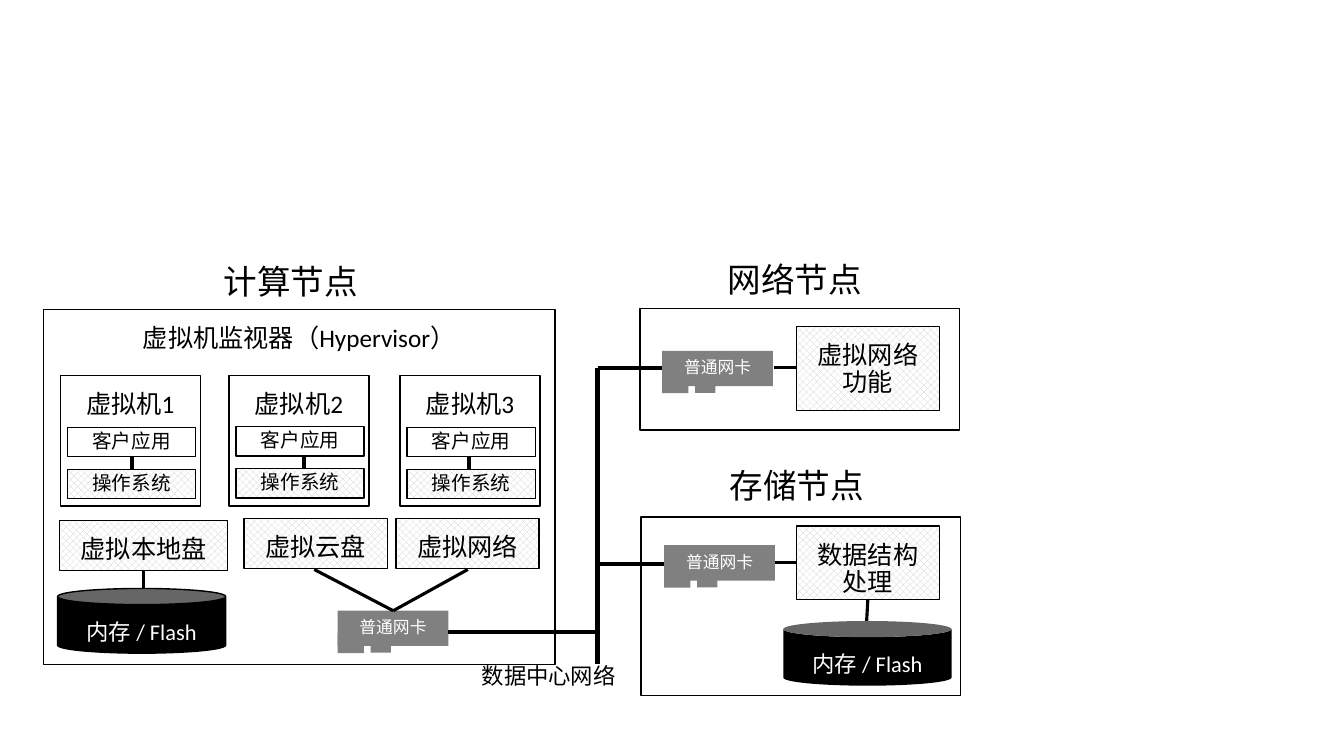
from lxml.etree import SubElement
from pptx import Presentation
from pptx.dml.color import RGBColor
from pptx.enum.dml import MSO_PATTERN
from pptx.enum.shapes import MSO_CONNECTOR as LINE, MSO_SHAPE as SHAPE
from pptx.enum.text import MSO_ANCHOR as ANCHOR, MSO_AUTO_SIZE as AUTO, PP_ALIGN as ALIGN
from pptx.oxml.ns import qn
from pptx.util import Cm, Pt

COLORS = {"black": "000000", "white": "FFFFFF", "card": "808080", "hatch": "D0CECE"}

FRAMES = [
    (1.09, 7.8, 12.9, 8.94, "虚拟机监视器（Hypervisor）"),
    (16.13, 7.77, 8.05, 3.07, ""),
    (16.15, 13.03, 8.05, 4.5, ""),
]
LABELS = [
    (5.13, 6.27, 1.75, "计算节点", 24),
    (17.83, 6.22, 1.75, "网络节点", 24),
    (17.88, 11.43, 1.75, "存储节点", 24),
    (11.63, 16.46, 1.45, "数据中心网络", 16),
]
MACHINES = [
    (1.52, 10.77, 3.32, "虚拟机1"),
    (5.77, 10.75, 7.66, "虚拟机2"),
    (10.08, 10.77, 11.81, "虚拟机3"),
]
SERVICES = [
    (1.5, 13.11, 4.24, 1.27, "虚拟本地盘"),
    (6.15, 13.06, 3.61, 1.27, "虚拟云盘"),
    (9.98, 13.06, 3.61, 1.27, "虚拟网络"),
    (20.07, 8.23, 3.61, 2.11, "虚拟网络功能"),
    (20.07, 13.26, 3.61, 1.85, "数据结构处理"),
]
CARDS = [(8.51, 15.39), (16.69, 8.84), (16.74, 13.74)]
CARD_PINS = [(0, 0.56, 0.66, 0.51), (0.83, 0.53, 0.51, 0.53)]
DISKS = [(1.45, 14.83, "black"), (19.74, 15.65, None)]
LINKS = [
    (7.92, 14.35, 9.91, 15.39),
    (11.79, 14.35, 9.91, 15.39),
    (3.61, 14.38, 3.61, 14.86),
    (20.07, 9.27, 19.51, 9.27),
    (20.07, 14.17, 19.53, 14.17),
    (21.87, 15.11, 21.84, 15.65),
]
BUS = [
    (15.06, 9.27, 15.06, 16.74),
    (15.06, 9.27, 16.69, 9.27),
    (15.06, 14.22, 16.74, 14.22),
    (11.3, 15.93, 15.06, 15.93),
]

prs = Presentation()
prs.slide_width, prs.slide_height = Cm(33.87), Cm(19.05)
slide = prs.slides.add_slide(prs.slide_layouts[6])


def rgb(name):
    return RGBColor.from_string(COLORS[name])


def write(s, text, size=18, font="Calibri", color="black", align=ALIGN.CENTER,
          anchor=ANCHOR.TOP, inset=(0.51, 0.41), wrap=True, after=0):
    tf = s.text_frame
    tf.word_wrap, tf.vertical_anchor = wrap, anchor
    tf.margin_left = tf.margin_right = Cm(inset[0])
    tf.margin_top = tf.margin_bottom = Cm(inset[1])
    p = tf.paragraphs[0]
    p.alignment, p.line_spacing, p.space_after = align, 0.9, Pt(after)
    r = p.add_run()
    r.text = text
    r.font.size, r.font.name = Pt(size), font
    r.font.color.rgb = rgb(color)


def add_box(x, y, w, h, text="", fill="white", line="black", kind=SHAPE.RECTANGLE,
            parent=slide, **fmt):
    s = parent.shapes.add_shape(kind, Cm(x), Cm(y), Cm(w), Cm(h))
    s.shadow.inherit = False
    if fill == "hatch":
        s.fill.patterned()
        s.fill.pattern = MSO_PATTERN.PERCENT_50
        s.fill.fore_color.rgb, s.fill.back_color.rgb = rgb("hatch"), rgb("white")
    else:
        s.fill.solid()
        s.fill.fore_color.rgb = rgb(fill)
    if line:
        s.line.color.rgb, s.line.width = rgb(line), Pt(1)
    else:
        s.line.fill.background()
    if text:
        write(s, text, **fmt)


def add_line(x1, y1, x2, y2, width):
    s = slide.shapes.add_connector(LINE.STRAIGHT, Cm(x1), Cm(y1), Cm(x2), Cm(y2))
    s.line.color.rgb, s.line.width = rgb("black"), Pt(width)
    SubElement(s._element.spPr, qn("a:effectLst"))


def add_card(x, y):
    group = slide.shapes.add_group_shape()
    for dx, dy, w, h in CARD_PINS:
        add_box(x + dx, y + dy, w, h, fill="card", line=None, parent=group)
    add_box(x, y, 2.79, 0.89, "普通网卡", fill="card", line=None, parent=group, size=12,
            font="Roboto", color="white", anchor=ANCHOR.MIDDLE, inset=(0.38, 0.3))


def add_machine(x, app_y, link_x, name):
    os_y = app_y + 1.06
    add_box(x, 9.47, 3.53, 3.28, name)
    for y, text, fill in [(app_y, "客户应用", "white"), (os_y, "操作系统", "hatch")]:
        add_box(x + 0.18, y, 3.23, 0.74, text, fill=fill, size=14, anchor=ANCHOR.MIDDLE)
    add_line(link_x, app_y + 0.74, link_x, os_y, 3)


def main():
    """Draw the compute, network and storage nodes and save the deck."""
    for frame in FRAMES:
        add_box(*frame)
    for machine in MACHINES:
        add_machine(*machine)
    for service in SERVICES:
        add_box(*service, fill="hatch")
    for card in CARDS:
        add_card(*card)
    for link in LINKS:
        add_line(*link, 2.25)
    for segment in BUS:
        add_line(*segment, 3)
    for x, y, line in DISKS:
        add_box(x, y, 4.24, 1.63, "内存 / Flash", fill="black", line=line,
                kind=SHAPE.CAN, size=16, color="white")
    for x, y, h, text, size in LABELS:
        s = slide.shapes.add_textbox(Cm(x), Cm(y), Cm(4.45), Cm(h))
        write(s, text, size=size, align=ALIGN.LEFT, wrap=False, after=6)
        s.text_frame.auto_size = AUTO.SHAPE_TO_FIT_TEXT
    prs.save("out.pptx")


if __name__ == "__main__":
    main()
